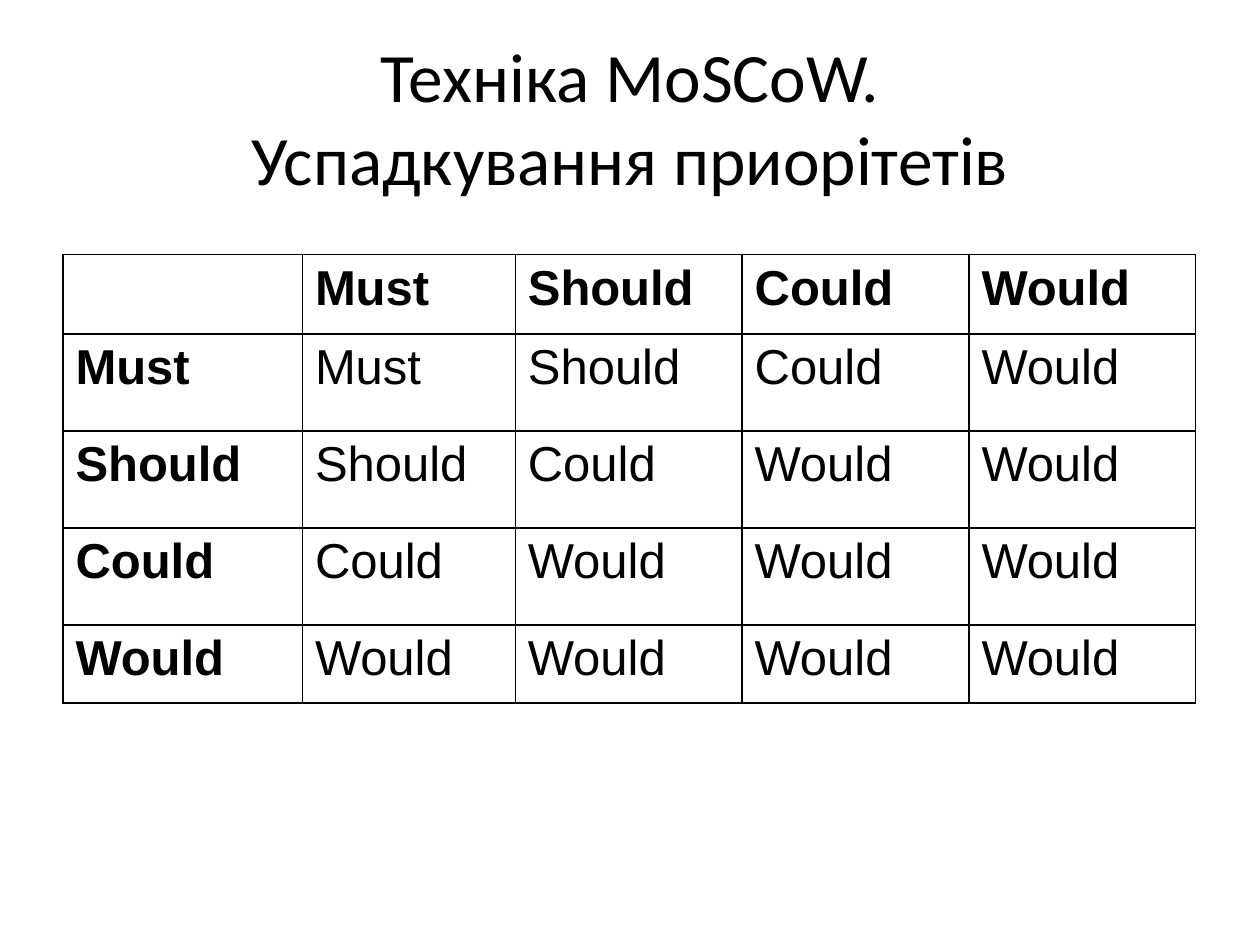
from lxml import etree
from pptx import Presentation
from pptx.dml.color import RGBColor
from pptx.enum import text
from pptx.oxml import ns
from pptx.util import Inches, Pt

COLORS = {"ink": "000000", "paper": "FFFFFF"}
PRIORITIES = ["Must", "Should", "Could", "Would"]
COLUMN_WIDTHS = [1.9, 1.69, 1.8, 1.8, 1.8]
ROW_HEIGHTS = [0.63, 0.77, 0.77, 0.77, 0.62]


def add_run(paragraph, words, font, size, bold=False):
    run = paragraph.add_run()
    run.text = words
    run.font.name = font
    run.font.size = Pt(size)
    run.font.bold = bold
    run.font.color.rgb = RGBColor.from_string(COLORS["ink"])


def add_borders(cell):
    """Draw a 1 pt line on all four sides; lines must precede the fill."""
    properties = cell._tc.get_or_add_tcPr()
    for position, side in enumerate(["lnL", "lnR", "lnT", "lnB"]):
        line = etree.Element(ns.qn(f"a:{side}"), w=str(Pt(1)))
        fill = etree.SubElement(line, ns.qn("a:solidFill"))
        etree.SubElement(fill, ns.qn("a:srgbClr"), val=COLORS["ink"])
        properties.insert(position, line)


prs = Presentation()
prs.slide_width, prs.slide_height = Inches(10), Inches(7.5)
slide = prs.slides.add_slide(prs.slide_layouts[6])

title = slide.shapes.add_textbox(Inches(0.5), Inches(0.3), Inches(9), Inches(1.25)).text_frame
title.word_wrap = True
title.vertical_anchor = text.MSO_ANCHOR.MIDDLE
heading = title.paragraphs[0]
heading.alignment = text.PP_ALIGN.CENTER
add_run(heading, "Техніка MoSCoW.", "Calibri", 39.6)
heading.add_line_break()
add_run(heading, "Успадкування приорітетів", "Calibri", 39.6)

matrix = slide.shapes.add_table(
    len(ROW_HEIGHTS), len(COLUMN_WIDTHS), Inches(0.5), Inches(2.02),
    Inches(sum(COLUMN_WIDTHS)), Inches(sum(ROW_HEIGHTS))).table
for column, width in zip(matrix.columns, COLUMN_WIDTHS):
    column.width = Inches(width)
for row, height in zip(matrix.rows, ROW_HEIGHTS):
    row.height = Inches(height)

for r in range(len(ROW_HEIGHTS)):
    for c in range(len(COLUMN_WIDTHS)):
        cell = matrix.cell(r, c)
        cell.fill.solid()
        cell.fill.fore_color.rgb = RGBColor.from_string(COLORS["paper"])
        add_borders(cell)
        if r == c == 0:
            continue
        is_header = r == 0 or c == 0
        # Ranks add up when inherited, and stop at the lowest priority
        rank = r + c - 1 if is_header else min(r + c - 2, len(PRIORITIES) - 1)
        add_run(cell.text_frame.paragraphs[0], PRIORITIES[rank], "Arial", 28, is_header)

prs.save("out.pptx")
